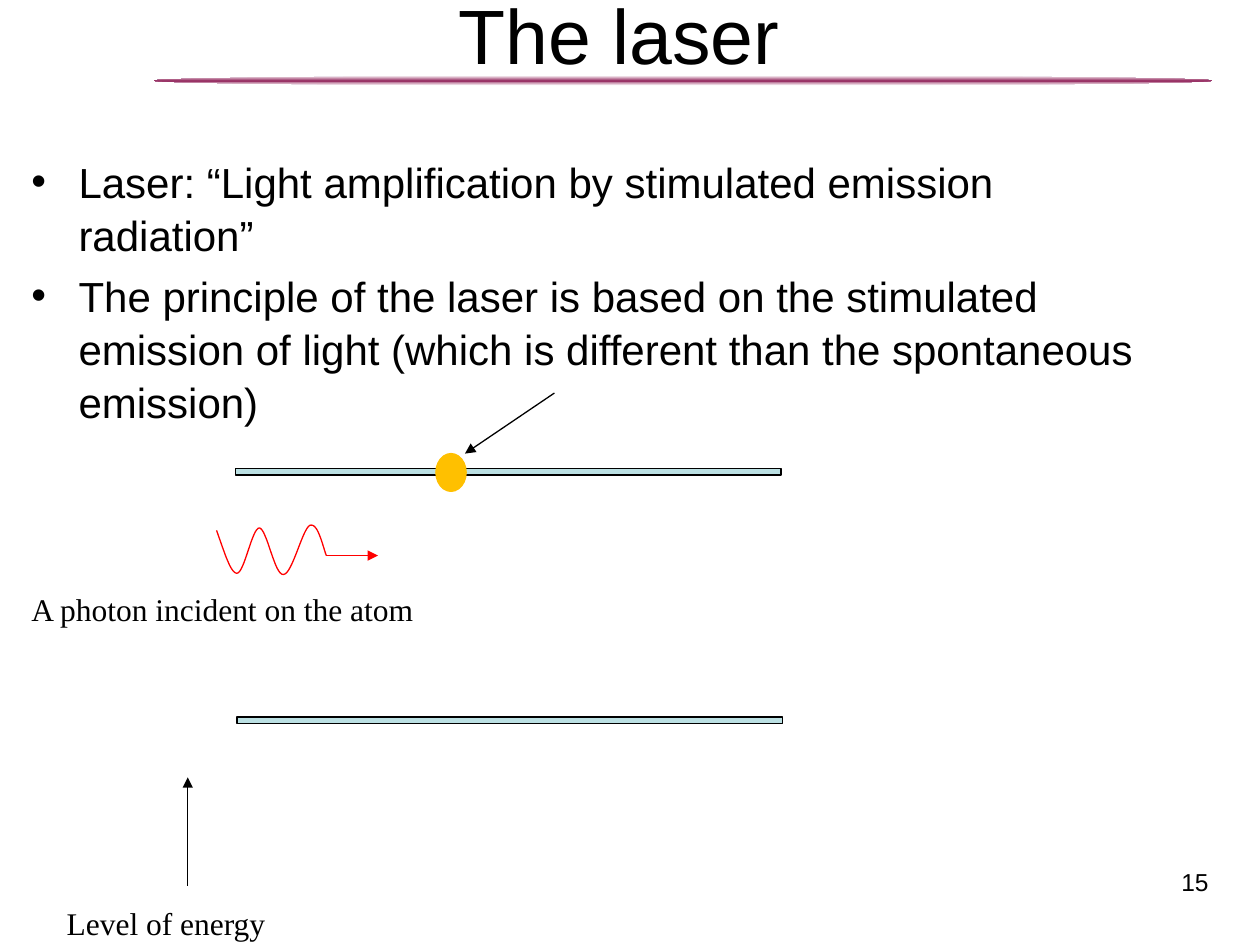
import pptx
import pptx.util
import pptx.dml.color
import pptx.enum.dml
import pptx.enum.shapes
import pptx.enum.text
import pptx.oxml
import pptx.oxml.ns
import lxml.etree
from dataclasses import dataclass

Pt = pptx.util.Pt
qn = pptx.oxml.ns.qn
SHAPE = pptx.enum.shapes.MSO_SHAPE
ALIGN = pptx.enum.text.PP_ALIGN
AUTO_SIZE = pptx.enum.text.MSO_AUTO_SIZE


@dataclass(frozen=True)
class Theme:
    sans: str = "Arial"
    serif: str = "Times New Roman"
    title_size: float = 44
    body_size: float = 24
    label_size: float = 18
    number_size: float = 14
    line_spacing: float = 1.05
    line_width: float = 0.75
    ink: str = "000000"
    paper: str = "FFFFFF"
    rule: str = "993366"
    level: str = "BBE0E3"
    atom: str = "FFC000"
    photon: str = "FF0000"


THEME = Theme()

TITLE = "The laser "
TITLE_AREA = (36, -15.12, 648, 90)
POINTS = [
    "Laser: “Light amplification by stimulated emission radiation”",
    "The principle of the laser is based on the stimulated emission of light "
    "(which is different than the spontaneous emission)",
]
POINTS_AREA = (10.8, 84.24, 648, 356.4)
BULLET_INDENT = 27
NUMBER = "15"
NUMBER_AREA = (530, 491, 167.8, 32.4)
LABELS = [
    ("Level of energy", (31, 511.9, 130.3, 28.8)),
    ("A photon incident on the atom", (10.8, 332.6, 241.2, 28.8)),
]
RULE_AREA = (87.84, 43.2, 604.8, 5.76)
LEVEL_SIZE = (311.8, 3.6)
LEVEL_CORNERS = [(135.4, 409.7), (134.6, 267.8)]
ATOM_AREA = (249.1, 259.2, 17.3, 21.6)
ARROWS = [
    ((107.3, 506.2), (107.3, 444.2), THEME.ink),
    ((316.8, 224.6), (265.7, 259.2), THEME.ink),
    ((186.5, 317.5), (216, 317.5), THEME.photon),
]
WAVE_START = (123.8, 303.1)
WAVE_CURVES = [
    ((128.2, 315.4), (131.8, 327.6), (135.4, 327.6)),
    ((139.7, 327.6), (144, 301.7), (148.3, 301.7)),
    ((152.6, 302.4), (157, 329), (162, 328.3)),
    ((167, 328.3), (172.8, 302.4), (177.1, 300.2)),
    ((181.4, 298.8), (183.6, 308.9), (186.5, 317.5)),
]
CURVE_STEPS = 16
UNITS_PER_POINT = 100


def color(value):
    return pptx.dml.color.RGBColor.from_string(value)


def lengths(area):
    return [Pt(value) for value in area]


def add_span(para, text, font, size):
    span = para.add_run()
    span.text = text
    span.font.name = font
    span.font.size = Pt(size)
    span.font.color.rgb = color(THEME.ink)


def add_text(page, area, texts, font, size, align=ALIGN.LEFT, bulleted=False, wrap=True):
    box = page.shapes.add_textbox(*lengths(area))
    frame = box.text_frame
    frame.word_wrap = wrap
    frame.auto_size = AUTO_SIZE.NONE if wrap else AUTO_SIZE.SHAPE_TO_FIT_TEXT
    for index, text in enumerate(texts):
        para = frame.add_paragraph() if index else frame.paragraphs[0]
        para.alignment = align
        para.line_spacing = THEME.line_spacing
        if index:
            para.space_before = Pt(size * 0.2)
        if bulleted:
            properties = para._p.get_or_add_pPr()
            properties.set("marL", str(Pt(BULLET_INDENT)))
            properties.set("indent", str(-Pt(BULLET_INDENT)))
            lxml.etree.SubElement(properties, qn("a:buFont")).set("typeface", font)
            lxml.etree.SubElement(properties, qn("a:buChar")).set("char", "•")
        add_span(para, text, font, size)


def add_figure(page, kind, area, fill, line):
    figure = page.shapes.add_shape(kind, *lengths(area))
    figure.shadow.inherit = False
    figure.fill.solid()
    figure.fill.fore_color.rgb = color(fill)
    figure.line.color.rgb = color(line)
    figure.line.width = Pt(THEME.line_width)
    return figure


def add_rule(page):
    rule = add_figure(page, SHAPE.OVAL, RULE_AREA, THEME.rule, THEME.rule)
    rule.line.fill.background()
    rule.fill.gradient()
    rule.fill.gradient_angle = 90
    stops = rule._element.spPr.find(".//" + qn("a:gsLst"))
    for stop in list(stops):
        stops.remove(stop)
    for percent, value in [(0, THEME.paper), (50, THEME.rule), (100, THEME.paper)]:
        stop = lxml.etree.SubElement(stops, qn("a:gs"), pos=str(percent * 1000))
        lxml.etree.SubElement(stop, qn("a:srgbClr"), val=value)


def add_arrow(page, start, end, value):
    arrow = page.shapes.add_connector(
        pptx.enum.shapes.MSO_CONNECTOR.STRAIGHT, *lengths(start + end))
    arrow.line.color.rgb = color(value)
    arrow.line.width = Pt(THEME.line_width)
    lxml.etree.SubElement(arrow.line._get_or_add_ln(), qn("a:tailEnd"), type="triangle")
    lxml.etree.SubElement(arrow._element.spPr, qn("a:effectLst"))


def curve_point(knots, t):
    weights = ((1 - t) ** 3, 3 * t * (1 - t) ** 2, 3 * t ** 2 * (1 - t), t ** 3)
    return tuple(
        sum(weight * knot[axis] for weight, knot in zip(weights, knots)) * UNITS_PER_POINT
        for axis in (0, 1))


def add_wave(page):
    vertices = []
    start = WAVE_START
    for curve in WAVE_CURVES:
        knots = (start,) + curve
        vertices += [curve_point(knots, step / CURVE_STEPS)
                     for step in range(1, CURVE_STEPS + 1)]
        start = curve[-1]
    builder = page.shapes.build_freeform(
        *(value * UNITS_PER_POINT for value in WAVE_START), scale=Pt(1) / UNITS_PER_POINT)
    builder.add_line_segments(vertices, close=False)
    wave = builder.convert_to_shape()
    wave.shadow.inherit = False
    wave.fill.background()
    wave.line.color.rgb = color(THEME.photon)
    wave.line.width = Pt(THEME.line_width)


def add_title(page):
    title = page.shapes.title
    title.left, title.top, title.width, title.height = lengths(TITLE_AREA)
    frame = title.text_frame
    frame.auto_size = AUTO_SIZE.NONE
    frame.vertical_anchor = pptx.enum.text.MSO_ANCHOR.TOP
    frame.margin_top = Pt(8)
    para = frame.paragraphs[0]
    para.alignment = ALIGN.CENTER
    add_span(para, TITLE, THEME.sans, THEME.title_size)


def main():
    deck = pptx.Presentation()
    deck.slide_width, deck.slide_height = Pt(720), Pt(540)
    page = deck.slides.add_slide(deck.slide_layouts.get_by_name("Title Only"))
    add_rule(page)
    add_text(page, NUMBER_AREA, [NUMBER], THEME.sans, THEME.number_size, ALIGN.RIGHT)
    add_title(page)
    add_text(page, POINTS_AREA, POINTS, THEME.sans, THEME.body_size, bulleted=True)
    for corner in LEVEL_CORNERS:
        add_figure(page, SHAPE.RECTANGLE, corner + LEVEL_SIZE, THEME.level, THEME.ink)
    add_figure(page, SHAPE.OVAL, ATOM_AREA, THEME.atom, THEME.atom)
    add_wave(page)
    for start, end, value in ARROWS:
        add_arrow(page, start, end, value)
    for text, area in LABELS:
        add_text(page, area, [text], THEME.serif, THEME.label_size, wrap=False)
    deck.save("out.pptx")


if __name__ == "__main__":
    main()
